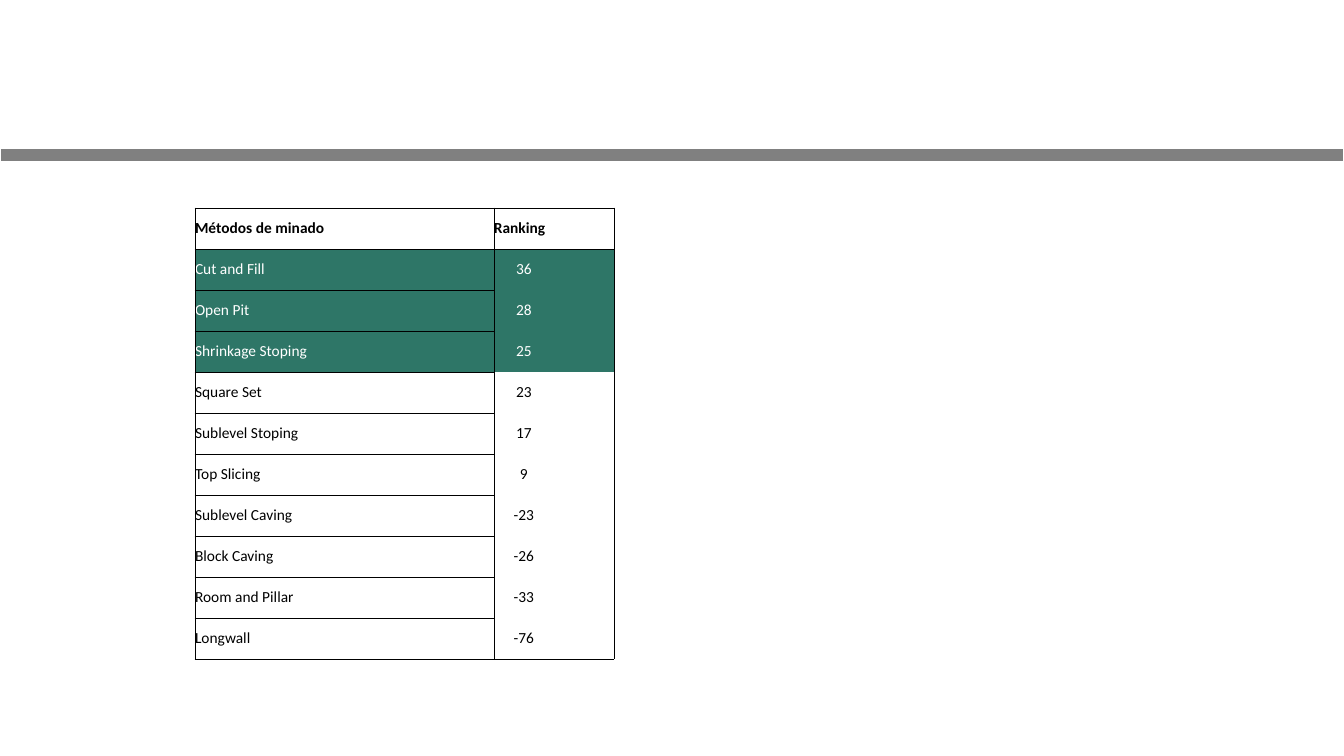
from dataclasses import dataclass

from lxml.etree import SubElement
from pptx import Presentation
from pptx.dml.color import RGBColor
from pptx.enum.shapes import MSO_CONNECTOR
from pptx.enum.text import MSO_ANCHOR, PP_ALIGN
from pptx.oxml.ns import qn
from pptx.util import Pt

HEADER = ("Métodos de minado", "Ranking")
# Method, ranking, number of columns the method name spans
METHODS = [
    ("Cut and Fill", 36, 1),
    ("Open Pit", 28, 1),
    ("Shrinkage Stoping", 25, 3),
    ("Square Set", 23, 1),
    ("Sublevel Stoping", 17, 2),
    ("Top Slicing", 9, 1),
    ("Sublevel Caving", -23, 2),
    ("Block Caving", -26, 1),
    ("Room and Pillar", -33, 2),
    ("Longwall", -76, 1),
]
BEST_COUNT = 3

PX = 914400 / 100.8
SLIDE_W, SLIDE_H = 1344, 756
BAR_LEFT, BAR_RIGHT, BAR_Y = 1, 1343, 155
TABLE_LEFT, TABLE_TOP = 195, 208
COLUMN_WIDTHS = (179, 60, 60, 60, 60)
ROW_HEIGHT = 41
RANK_COL = 3


@dataclass(frozen=True)
class Theme:
    font: str = "Calibri"
    text_size: float = 11
    border_width: float = 0.5
    bar_width: float = 8.25
    dark: str = "000000"
    light: str = "FFFFFF"
    best: str = "2E7667"
    bar: str = "808080"


THEME = Theme()


def emu(px):
    return round(px * PX)


def rgb(value):
    return RGBColor.from_string(value)


def set_borders(cell, sides):
    """Draw the sides named among L, R, T and B and hide the others."""
    tcPr = cell._tc.get_or_add_tcPr()
    for side in "LRTB":
        ln = SubElement(tcPr, qn(f"a:ln{side}"), w=str(Pt(THEME.border_width)))
        if side in sides:
            fill = SubElement(ln, qn("a:solidFill"))
            SubElement(fill, qn("a:srgbClr"), val=THEME.dark)
        else:
            SubElement(ln, qn("a:noFill"))


def sides_at(row, col, span):
    last_row, last_col = len(METHODS), len(COLUMN_WIDTHS) - 1
    end = col + span - 1
    sides = "L" if col in (0, RANK_COL) else ""
    sides += "R" if end in (RANK_COL - 1, last_col) else ""
    sides += "T" if col < RANK_COL or row <= 1 else ""
    sides += "B" if col < RANK_COL or row in (0, last_row) else ""
    return sides


def write_cell(cell, text, color, bold, align):
    cell.vertical_anchor = MSO_ANCHOR.MIDDLE
    cell.margin_left = cell.margin_right = cell.margin_top = cell.margin_bottom = 0
    p = cell.text_frame.paragraphs[0]
    p.text = text
    p.alignment = align
    p.font.name = THEME.font
    p.font.size = Pt(THEME.text_size)
    p.font.bold = bold
    p.font.color.rgb = rgb(color)


def add_bar(s):
    bar = s.shapes.add_connector(MSO_CONNECTOR.STRAIGHT, emu(BAR_LEFT), emu(BAR_Y),
                                 emu(BAR_RIGHT), emu(BAR_Y))
    bar.line.color.rgb = rgb(THEME.bar)
    bar.line.width = Pt(THEME.bar_width)
    SubElement(bar._element.spPr, qn("a:effectLst"))


def add_ranking_table(s):
    rows = [(*HEADER, RANK_COL)] + METHODS
    table = s.shapes.add_table(
        len(rows), len(COLUMN_WIDTHS), emu(TABLE_LEFT), emu(TABLE_TOP),
        emu(sum(COLUMN_WIDTHS)), emu(ROW_HEIGHT * len(rows))).table
    table.first_row = table.horz_banding = False
    for column, width in zip(table.columns, COLUMN_WIDTHS):
        column.width = emu(width)

    for i, (method, ranking, span) in enumerate(rows):
        table.rows[i].height = emu(ROW_HEIGHT)
        is_header, is_best = i == 0, 1 <= i <= BEST_COUNT
        spans = {0: span, RANK_COL: 2 if is_header else 1}
        texts = {0: method, RANK_COL: str(ranking)}
        for j in range(len(COLUMN_WIDTHS)):
            cell = table.cell(i, j)
            if cell.is_spanned:
                continue
            width = spans.get(j, 1)
            if width > 1:
                cell.merge(table.cell(i, j + width - 1))
            centred = j == RANK_COL and not is_header
            write_cell(cell, texts.get(j, ""), THEME.light if is_best else THEME.dark,
                       is_header, PP_ALIGN.CENTER if centred else PP_ALIGN.LEFT)
            set_borders(cell, sides_at(i, j, width))
            if is_header:
                cell.fill.background()
            else:
                cell.fill.solid()
                cell.fill.fore_color.rgb = rgb(THEME.best if is_best else THEME.light)


def main():
    prs = Presentation()
    prs.slide_width, prs.slide_height = emu(SLIDE_W), emu(SLIDE_H)
    s = prs.slides.add_slide(prs.slide_layouts[6])
    add_bar(s)
    add_ranking_table(s)
    prs.save("out.pptx")


if __name__ == "__main__":
    main()
